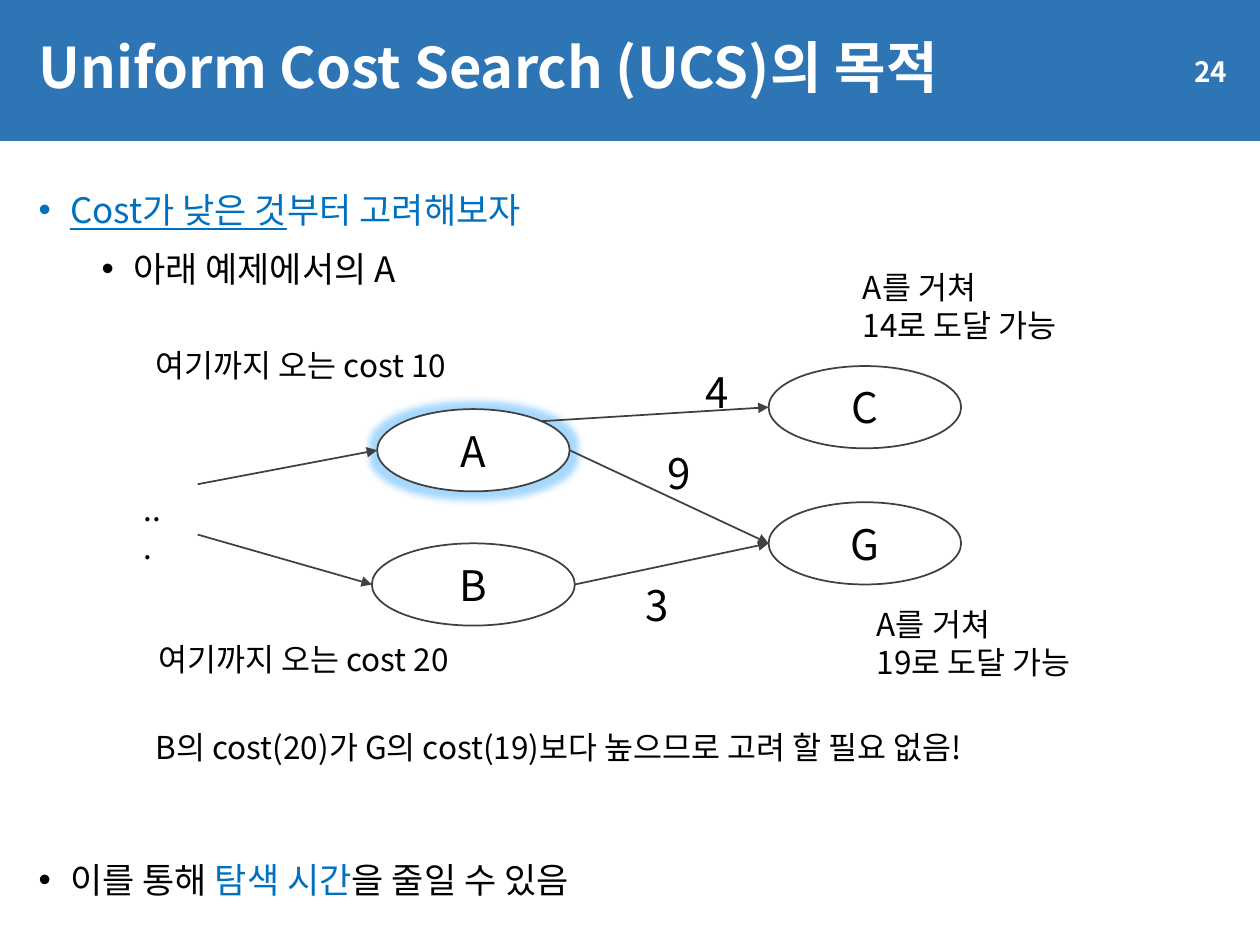
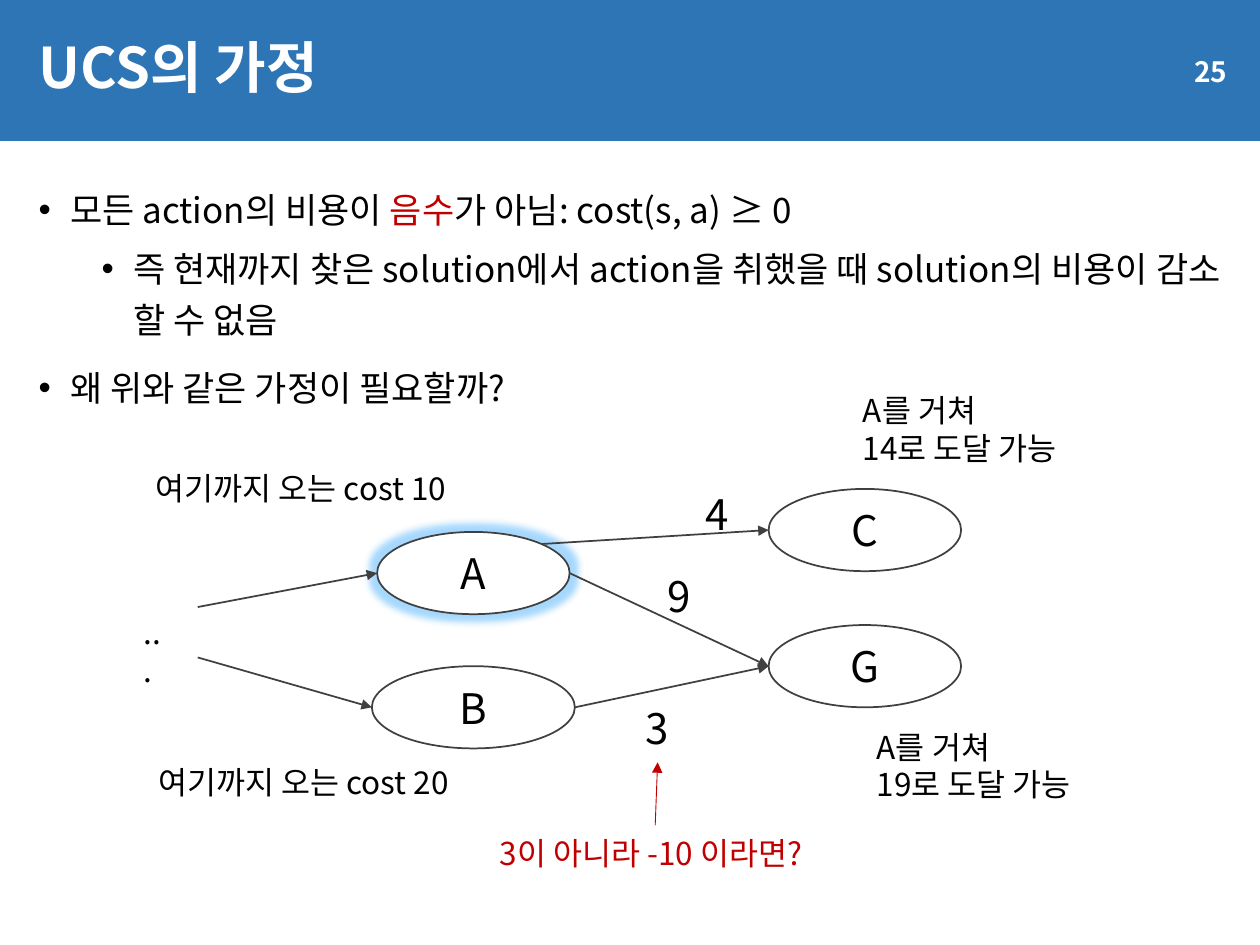
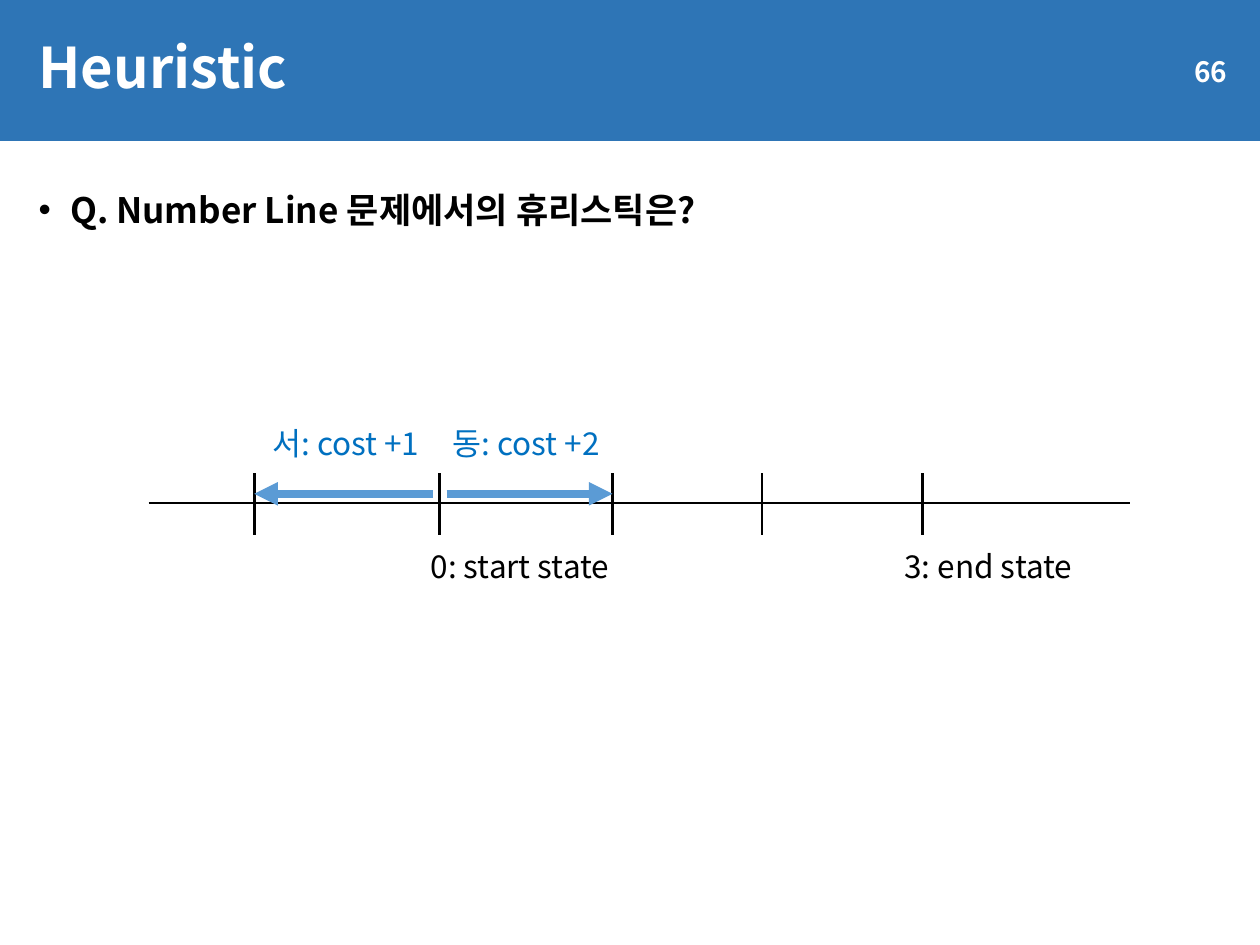
"""Builds three lecture slides on uniform cost search and heuristics."""
from lxml import etree
from pptx import Presentation
from pptx.dml.color import RGBColor
from pptx.enum import shapes, text
from pptx.oxml.ns import qn
from pptx.util import Pt

FONT = "Noto Sans CJK KR"
BAND = RGBColor(0x2E, 0x75, 0xB6)
WHITE = RGBColor(0xFF, 0xFF, 0xFF)
BLACK = RGBColor(0, 0, 0)
GRAY = RGBColor(0x40, 0x40, 0x40)
BLUE = RGBColor(0, 0x70, 0xC0)
SKY = RGBColor(0x5B, 0x9B, 0xD5)
RED = RGBColor(0xC0, 0, 0)
GLOW = RGBColor(0x20, 0x9E, 0xFF)


class Lecture:
    def __init__(self):
        self.deck = Presentation()
        self.deck.slide_width, self.deck.slide_height = Pt(720), Pt(540)
        self.page = None

    def start_page(self, title, number):
        self.page = self.deck.slides.add_slide(self.deck.slide_layouts[6])
        self.panel(0, 0, 720, 80.5)
        heading = self.panel(15, 9.5, 692.5, 61)
        self.set_text(heading, title, 32, WHITE, bold=True).line_spacing = 0.9
        counter = self.panel(611, 26, 97.5, 29)
        self.set_text(counter, str(number), 16, WHITE, text.PP_ALIGN.RIGHT, True)

    def style(self, para, size, color, bold=False):
        font = para.font
        font.size, font.bold, font.name = Pt(size), bold, FONT
        font.color.rgb = color
        latin = para._p.pPr.find(qn("a:defRPr")).find(qn("a:latin"))
        east_asian = etree.Element(qn("a:ea"), typeface=FONT)
        latin.addnext(east_asian)

    def set_text(self, box, words, size, color, align=text.PP_ALIGN.LEFT, bold=False):
        para = box.text_frame.paragraphs[0]
        para.text, para.alignment = words, align
        self.style(para, size, color, bold)
        return para

    def shape(self, kind, left, top, width, height, fill):
        shape = self.page.shapes.add_shape(kind, Pt(left), Pt(top), Pt(width), Pt(height))
        shape.shadow.inherit = False
        shape.fill.solid()
        shape.fill.fore_color.rgb = fill
        shape.text_frame.vertical_anchor = text.MSO_ANCHOR.MIDDLE
        return shape

    def panel(self, left, top, width, height):
        panel = self.shape(shapes.MSO_SHAPE.RECTANGLE, left, top, width, height, BAND)
        panel.line.fill.background()
        return panel

    def node(self, name, left, top, width=110, glow=False):
        oval = self.shape(shapes.MSO_SHAPE.OVAL, left, top, width, 47, WHITE)
        oval.line.color.rgb, oval.line.width = GRAY, Pt(1)
        frame = oval.text_frame
        frame.margin_left = frame.margin_right = frame.margin_top = frame.margin_bottom = 0
        self.set_text(oval, name, 24, BLACK, text.PP_ALIGN.CENTER)
        if glow:
            effects = oval._element.spPr.find(qn("a:effectLst"))
            halo = etree.SubElement(effects, qn("a:glow"), rad=str(Pt(8)))
            tint = etree.SubElement(halo, qn("a:srgbClr"), val=str(GLOW))
            etree.SubElement(tint, qn("a:alpha"), val="40000")

    def label(self, words, left, top, width, height=29, size=18, color=BLACK, wrap=False):
        box = self.page.shapes.add_textbox(Pt(left), Pt(top), Pt(width), Pt(height))
        box.text_frame.word_wrap = wrap
        box.text_frame.auto_size = text.MSO_AUTO_SIZE.SHAPE_TO_FIT_TEXT
        self.set_text(box, words, size, color)

    def line(self, start, end, color=GRAY, width=1, arrow=True):
        line = self.page.shapes.add_connector(
            shapes.MSO_CONNECTOR.STRAIGHT, *(Pt(value) for value in (*start, *end)))
        line.line.color.rgb, line.line.width = color, Pt(width)
        props = line._element.spPr
        if arrow:
            etree.SubElement(props.find(qn("a:ln")), qn("a:tailEnd"), type="triangle")
        etree.SubElement(props, qn("a:effectLst"))

    def bullets(self, *items):
        """Each item is a dict of spans (words, colour, underline) and paragraph settings."""
        box = self.page.shapes.add_textbox(Pt(15), Pt(99.5), Pt(692.5), Pt(429))
        frame = box.text_frame
        frame.word_wrap = True
        for index, item in enumerate(items):
            para = frame.add_paragraph() if index else frame.paragraphs[0]
            level = item.get("level", 0)
            para.level, para.line_spacing = level, 1.2
            if index:
                para.space_before = Pt(item.get("gap", 5 if level else 10))
            props = para._p.get_or_add_pPr()
            props.set("marL", str(Pt(54 if level else 18)))
            props.set("indent", str(Pt(-18)))
            etree.SubElement(props, qn("a:buFont"), typeface="Arial")
            etree.SubElement(props, qn("a:buChar"), char="•")
            self.style(para, 20, item.get("color", BLACK), item.get("bold", False))
            for words, *look in item["spans"]:
                span = para.add_run()
                span.text = words
                if look and look[0]:
                    span.font.color.rgb = look[0]
                if len(look) > 1:
                    span.font.underline = look[1]

    def cost_graph(self, drop=0):
        self.node("B", 212.5, drop + 310.5, 116)
        self.node("A", 215.5, drop + 233.8, glow=True)
        self.node("C", 439.2, drop + 209.2)
        self.node("G", 439.2, drop + 287)
        a_left, a_right, b_left, b_right = (
            (215.5, 257.3), (325.5, 257.3), (212.5, 334), (328.5, 334))
        c_left, g_left = (439.2, 232.7), (439.2, 310.5)
        edges = [((113, 305.5), b_left), ((113, 276.7), a_left), ((309.4, 240.7), c_left),
                 (a_right, g_left), (b_right, g_left)]
        for (x1, y1), (x2, y2) in edges:
            self.line((x1, y1 + drop), (x2, y2 + drop))
        for cost, left, top in (("9", 374.4, 252), ("4", 396, 205.7), ("3", 362, 327.6)):
            self.label(cost, left, drop + top, 28, 36, 24)
        self.label("여기까지 오는 cost 10", 82, drop + 194.2, 196.5)
        self.label("여기까지 오는 cost 20", 83.5, drop + 362, 196.5)
        self.label("...", 75, drop + 276.5, 26.6, wrap=True)
        self.label("A를 거쳐\n14로 도달 가능", 486, drop + 149.6, 138, 51)
        self.label("A를 거쳐\n19로 도달 가능", 494, drop + 342, 138, 51)


def main():
    lecture = Lecture()

    lecture.start_page("Uniform Cost Search (UCS)의 목적", 24)
    lecture.bullets(
        {"spans": [("Cost가 낮은 것", None, True), ("부터 고려해보자",)], "color": BLUE},
        {"spans": [("아래 예제에서의 A",)], "level": 1},
        {"spans": [("이를 통해 ",), ("탐색 시간", BLUE), ("을 줄일 수 있음",)], "gap": 320})
    lecture.cost_graph()
    lecture.label("B의 cost(20)가 G의 cost(19)보다 높으므로 고려 할 필요 없음!", 82, 412.5, 548,
                  wrap=True)

    lecture.start_page("UCS의 가정", 25)
    lecture.bullets(
        {"spans": [("모든 action의 비용이 ",), ("음수", RED), ("가 아님: cost(s, a) ≥ 0",)]},
        {"spans": [("즉 현재까지 찾은 solution에서 action을 취했을 때 solution의 비용이 감소 할 수 없음",)],
         "level": 1},
        {"spans": [("왜 위와 같은 가정이 필요할까?",)]})
    lecture.line((374.4, 471.6), (375.8, 435.6), RED, 0.5)
    lecture.label("3이 아니라 -10 이라면?", 278.6, 473, 206.6, color=RED)
    lecture.cost_graph(drop=70.2)

    lecture.start_page("Heuristic", 66)
    lecture.bullets({"spans": [("Q. Number Line 문제에서의 휴리스틱은?",)], "bold": True})
    lecture.line((85, 287.5), (645.8, 287.5), BLACK, 1.5, arrow=False)
    west, origin, east, *_ = ticks = (145.3, 251.2, 350, 435.5, 527)
    for tick in ticks:
        lecture.line((tick, 305.5), (tick, 270), BLACK, 1.5, arrow=False)
    lecture.line((origin + 4, 282.2), (east, 282.2), SKY, 4.5)
    lecture.line((origin - 4, 282.2), (west, 282.2), SKY, 4.5)
    lecture.label("0: start state", 239, 309, 118)
    lecture.label("3: end state", 509.8, 309, 112.3)
    lecture.label("서: cost +1", 148.5, 239, 106, color=BLUE)
    lecture.label("동: cost +2", 251.6, 239, 106, color=BLUE)

    lecture.deck.save("out.pptx")


if __name__ == "__main__":
    main()
